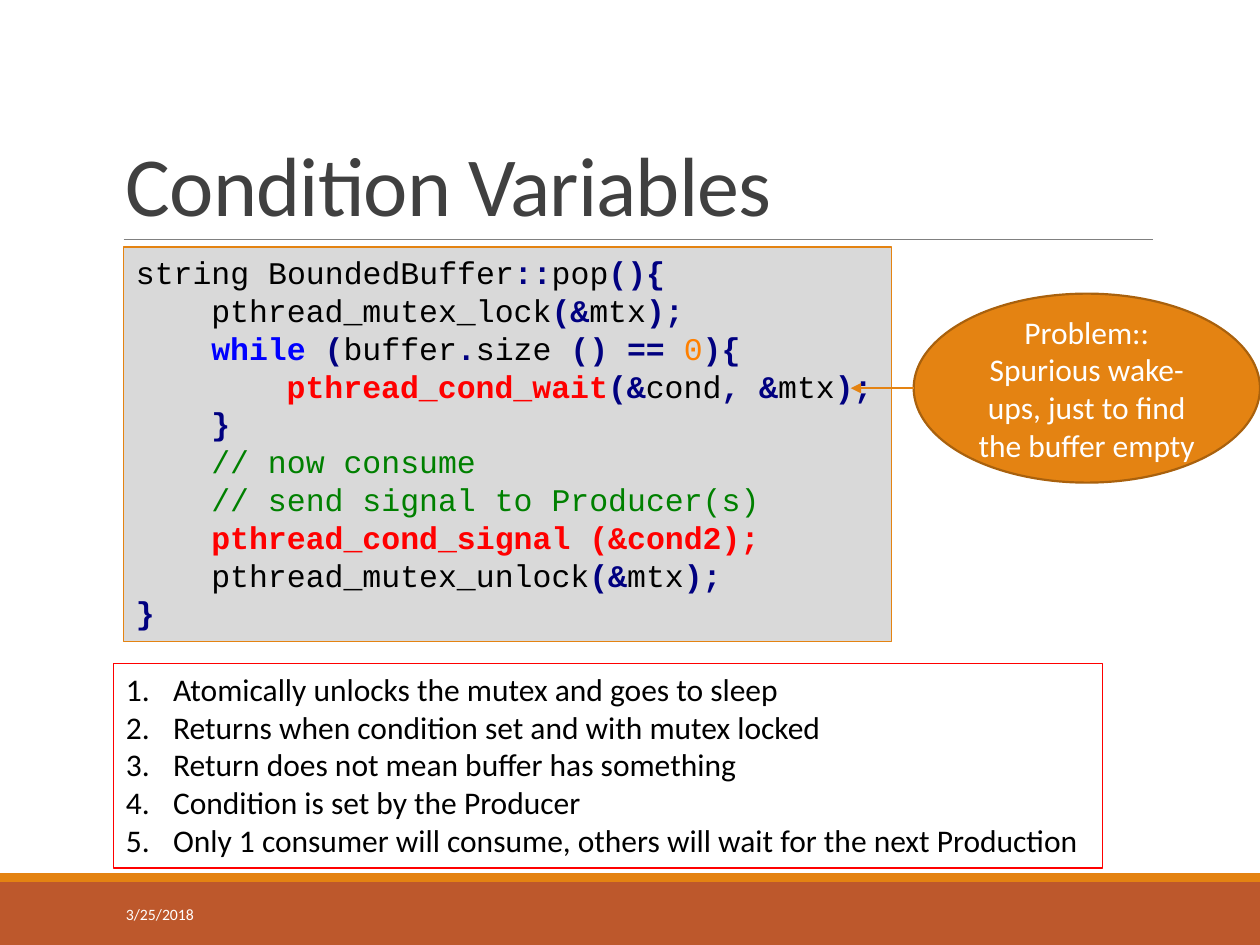
"""Build the Condition Variables slide with its code listing, callout and notes list."""
from lxml import etree
from pptx import Presentation
from pptx import util as u
from pptx.dml.color import RGBColor
from pptx.enum import shapes, text
from pptx.oxml.ns import qn

COLORS = {
    "plain": "000000", "operator": "000080", "keyword": "0000FF", "number": "FF8000",
    "call": "FF0000", "comment": "008000", "title": "404040", "white": "FFFFFF",
    "rule": "808080", "panel": "D9D9D9", "orange": "E48312", "rust": "BD582C",
    "outline": "A9610D",
}
BOLD = {"operator", "keyword", "call"}
CODE_INDENT = 1.52
LIST_INDENT = 0.95

TITLE = "Condition Variables"
DATE = "3/25/2018"
PROBLEM = "Problem:: Spurious wake-ups, just to find the buffer empty"
CODE = [
    (0, [("string BoundedBuffer", "plain"), ("::", "operator"), ("pop", "plain"),
         ("(){", "operator")]),
    (1, [("pthread_mutex_lock", "plain"), ("(&", "operator"), ("mtx", "plain"),
         (");", "operator")]),
    (1, [("while ", "keyword"), ("(", "operator"), ("buffer", "plain"), (".", "operator"),
         ("size ", "plain"), ("() == ", "operator"), ("0", "number"), ("){", "operator")]),
    (2, [("pthread_cond_wait", "call"), ("(&", "operator"), ("cond", "plain"),
         (", &", "operator"), ("mtx", "plain"), (");", "operator")]),
    (1, [("}", "operator")]),
    (1, [("// now consume", "comment")]),
    (1, [("// send signal to Producer(s)", "comment")]),
    (1, [("pthread_cond_signal (&cond2);", "call")]),
    (1, [("pthread_mutex_unlock", "plain"), ("(&", "operator"), ("mtx", "plain"),
         (");", "operator")]),
    (0, [("}", "operator")]),
]
NOTES = [
    "Atomically unlocks the mutex and goes to sleep",
    "Returns when condition set and with mutex locked",
    "Return does not mean buffer has something",
    "Condition is set by the Producer",
    "Only 1 consumer will consume, others will wait for the next Production",
]


def color(name):
    return RGBColor.from_string(COLORS[name])


def add_box(slide, kind, place, fill=None, line=None, width=0.75):
    shape = slide.shapes.add_shape(kind, *map(u.Cm, place))
    shape.shadow.inherit = False
    if fill:
        shape.fill.solid()
        shape.fill.fore_color.rgb = color(fill)
    else:
        shape.fill.background()
    if line:
        shape.line.color.rgb = color(line)
        shape.line.width = u.Pt(width)
    else:
        shape.line.fill.background()
    return shape


def set_frame(shape, anchor=text.MSO_ANCHOR.TOP, wrap=True, grow=False):
    frame = shape.text_frame
    frame.word_wrap = wrap
    frame.vertical_anchor = anchor
    frame.auto_size = text.MSO_AUTO_SIZE.SHAPE_TO_FIT_TEXT if grow else text.MSO_AUTO_SIZE.NONE
    return frame


def add_paragraph(frame, runs, size=18, font="Calibri", align=text.PP_ALIGN.LEFT):
    used = frame.paragraphs[0].runs
    paragraph = frame.add_paragraph() if used else frame.paragraphs[0]
    paragraph.alignment = align
    for words, style in runs:
        run = paragraph.add_run()
        run.text = words
        run.font.name = font
        run.font.size = u.Pt(size)
        run.font.bold = style in BOLD
        run.font.color.rgb = color(style)
    return paragraph


def set_indent(paragraph, left, first=0):
    properties = paragraph._p.get_or_add_pPr()
    properties.set("marL", str(u.Cm(left)))
    properties.set("indent", str(u.Cm(first)))
    return properties


def add_line(slide, start, end, name, width, arrow=False):
    line = slide.shapes.add_connector(
        shapes.MSO_CONNECTOR.STRAIGHT, *map(u.Cm, (*start, *end)))
    line.line.color.rgb = color(name)
    line.line.width = u.Pt(width)
    if arrow:
        etree.SubElement(line.line._get_or_add_ln(), qn("a:tailEnd"), type="triangle")
    etree.SubElement(line._element.spPr, qn("a:effectLst"))


def main():
    presentation = Presentation()
    presentation.slide_width, presentation.slide_height = u.Cm(25.4), u.Cm(19.05)
    slide = presentation.slides.add_slide(presentation.slide_layouts[6])
    rectangle = shapes.MSO_SHAPE.RECTANGLE
    middle = text.MSO_ANCHOR.MIDDLE

    add_box(slide, rectangle, (0, 17.78, 25.4, 1.27), "rust")
    add_box(slide, rectangle, (0, 17.6, 25.4, 0.18), "orange")
    add_line(slide, (2.49, 4.83), (23.24, 4.83), "rule", 0.5)

    title = slide.shapes.add_textbox(*map(u.Cm, (2.29, 0.79, 20.95, 4.04)))
    heading = add_paragraph(set_frame(title, text.MSO_ANCHOR.BOTTOM), [(TITLE, "title")], 48)
    heading.line_spacing = 0.85
    heading.runs[0].font._element.set("spc", "-50")

    date = slide.shapes.add_textbox(*map(u.Cm, (2.29, 17.93, 5.16, 1.02)))
    add_paragraph(set_frame(date, middle), [(DATE, "white")], 9)

    listing = add_box(slide, rectangle, (2.49, 4.98, 15.49, 7.95), "panel", "orange")
    frame = set_frame(listing, grow=True)
    for level, runs in CODE:
        set_indent(add_paragraph(frame, runs, font="Courier New"), level * CODE_INDENT)

    notes = add_box(slide, rectangle, (2.29, 13.38, 19.94, 4.12), line="call")
    frame = set_frame(notes, wrap=False, grow=True)
    for note in NOTES:
        properties = set_indent(add_paragraph(frame, [(note, "plain")]),
                                LIST_INDENT, -LIST_INDENT)
        etree.SubElement(properties, qn("a:buFont"), typeface="+mj-lt")
        etree.SubElement(properties, qn("a:buAutoNum"), type="arabicPeriod")

    left, top, width, height = callout = (18.42, 5.92, 6.98, 3.81)
    problem = add_box(slide, shapes.MSO_SHAPE.OVAL, callout, "orange", "outline", 1.25)
    add_paragraph(set_frame(problem, middle), [(PROBLEM, "white")],
                  align=text.PP_ALIGN.CENTER)
    center = top + height / 2
    add_line(slide, (left, center), (left - 1.27, center), "orange", 1, arrow=True)

    presentation.save("out.pptx")


if __name__ == "__main__":
    main()
